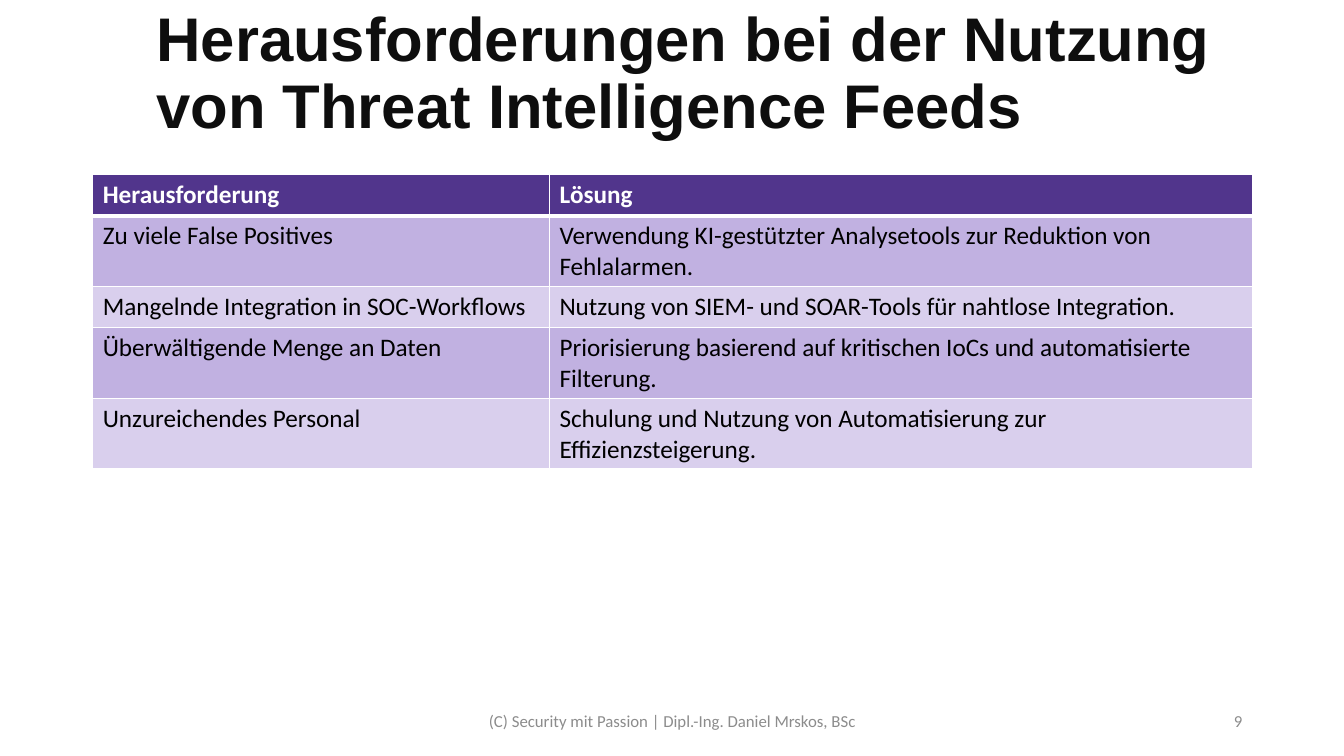
from dataclasses import dataclass

from lxml import etree
from pptx import Presentation
from pptx.dml.color import RGBColor
from pptx.enum.text import MSO_ANCHOR, MSO_AUTO_SIZE, PP_ALIGN
from pptx.oxml.ns import qn
from pptx.slide import Slide
from pptx.table import _Cell
from pptx.text.text import _Paragraph
from pptx.util import Inches, Length, Pt

MIDDLE = MSO_ANCHOR.MIDDLE
NO_AUTOFIT = MSO_AUTO_SIZE.NONE
LEFT, CENTER, RIGHT = PP_ALIGN.LEFT, PP_ALIGN.CENTER, PP_ALIGN.RIGHT

SLIDE_WIDTH, SLIDE_HEIGHT = Inches(13.33), Inches(7.5)
COLORS = {
    "title": "0E0E0E",
    "footer": "8C8C8C",
    "header": "51358C",
    "band_dark": "C1B1E1",
    "band_light": "D9CFED",
    "white": "FFFFFF",
    "black": "000000",
}


@dataclass(frozen=True)
class Area:
    """Place on the slide, in percent of its width and height."""
    left: float
    top: float
    width: float
    height: float

    def lengths(self) -> tuple[Length, Length, Length, Length]:
        return (share_of_width(self.left), share_of_height(self.top),
                share_of_width(self.width), share_of_height(self.height))


@dataclass(frozen=True)
class TextStyle:
    size: float
    color: str
    font: str = "Calibri"
    bold: bool = False
    align: PP_ALIGN = LEFT


@dataclass(frozen=True)
class FooterText:
    text: str
    area: Area
    align: PP_ALIGN


@dataclass(frozen=True)
class Challenge:
    problem: str
    solution: str


TITLE = "Herausforderungen bei der Nutzung von Threat Intelligence Feeds"
TITLE_AREA = Area(10.88, 0.27, 86.27, 19.33)
TITLE_STYLE = TextStyle(44, "title", font="Arial", bold=True)
FOOTERS = [
    FooterText("(C) Security mit Passion | Dipl.-Ing. Daniel Mrskos, BSc",
               Area(33.16, 92.67, 33.76, 5.33), CENTER),
    FooterText("9", Area(70.67, 92.67, 22.5, 5.33), RIGHT),
]
ROWS = [
    Challenge("Herausforderung", "Lösung"),
    Challenge("Zu viele False Positives",
              "Verwendung KI-gestützter Analysetools zur Reduktion von Fehlalarmen."),
    Challenge("Mangelnde Integration in SOC-Workflows",
              "Nutzung von SIEM- und SOAR-Tools für nahtlose Integration."),
    Challenge("Überwältigende Menge an Daten",
              "Priorisierung basierend auf kritischen IoCs und automatisierte Filterung."),
    Challenge("Unzureichendes Personal",
              "Schulung und Nutzung von Automatisierung zur Effizienzsteigerung."),
]
COLUMN_SHARES = (33.98, 52.29)
ROW_SHARE = 5.47
TABLE_AREA = Area(6.9, 23.07, sum(COLUMN_SHARES), ROW_SHARE * len(ROWS))
HEADER_STYLE = TextStyle(18, "white", bold=True)
BODY_STYLE = TextStyle(18, "black")


def share_of_width(percent: float) -> Length:
    return Length(round(SLIDE_WIDTH * percent / 100))


def share_of_height(percent: float) -> Length:
    return Length(round(SLIDE_HEIGHT * percent / 100))


def format_paragraph(paragraph: _Paragraph, style: TextStyle) -> None:
    paragraph.alignment = style.align
    for run in paragraph.runs:
        run.font.name = style.font
        run.font.size = Pt(style.size)
        run.font.bold = style.bold
        run.font.color.rgb = RGBColor.from_string(COLORS[style.color])


def add_title(slide: Slide) -> None:
    title = slide.shapes.title
    title.left, title.top, title.width, title.height = TITLE_AREA.lengths()
    frame = title.text_frame
    frame.text = TITLE
    frame.word_wrap = True
    frame.auto_size = NO_AUTOFIT
    frame.vertical_anchor = MIDDLE
    paragraph = frame.paragraphs[0]
    paragraph.line_spacing = 0.9
    format_paragraph(paragraph, TITLE_STYLE)


def add_footer(slide: Slide, footer: FooterText) -> None:
    frame = slide.shapes.add_textbox(*footer.area.lengths()).text_frame
    frame.text = footer.text
    frame.word_wrap = True
    frame.vertical_anchor = MIDDLE
    format_paragraph(frame.paragraphs[0], TextStyle(12, "footer", align=footer.align))


def set_borders(cell: _Cell, top: float, bottom: float) -> None:
    """Draw white borders; widths are in points, the sides are 1 point."""
    properties = cell._tc.get_or_add_tcPr()
    for tag, width in (("a:lnL", 1), ("a:lnR", 1), ("a:lnT", top), ("a:lnB", bottom)):
        line = etree.SubElement(properties, qn(tag), w=str(Pt(width)))
        fill = etree.SubElement(line, qn("a:solidFill"))
        etree.SubElement(fill, qn("a:srgbClr"), val=COLORS["white"])


def fill_cell(cell: _Cell, text: str, row_index: int) -> None:
    if row_index == 0:
        style, background = HEADER_STYLE, "header"
    else:
        style = BODY_STYLE
        background = "band_dark" if row_index % 2 else "band_light"
    cell.text_frame.text = text
    format_paragraph(cell.text_frame.paragraphs[0], style)
    set_borders(cell, top=3 if row_index == 1 else 1, bottom=3 if row_index == 0 else 1)
    cell.fill.solid()
    cell.fill.fore_color.rgb = RGBColor.from_string(COLORS[background])


def add_challenge_table(slide: Slide) -> None:
    table = slide.shapes.add_table(
        len(ROWS), len(COLUMN_SHARES), *TABLE_AREA.lengths()).table
    for column, share in zip(table.columns, COLUMN_SHARES):
        column.width = share_of_width(share)
    for row_index, challenge in enumerate(ROWS):
        table.rows[row_index].height = share_of_height(ROW_SHARE)
        for column_index, text in enumerate((challenge.problem, challenge.solution)):
            fill_cell(table.cell(row_index, column_index), text, row_index)


def main() -> None:
    presentation = Presentation()
    presentation.slide_width = SLIDE_WIDTH
    presentation.slide_height = SLIDE_HEIGHT
    title_only = presentation.slide_layouts.get_by_name("Title Only")
    slide = presentation.slides.add_slide(title_only)
    add_title(slide)
    for footer in FOOTERS:
        add_footer(slide, footer)
    add_challenge_table(slide)
    presentation.save("out.pptx")


if __name__ == "__main__":
    main()
